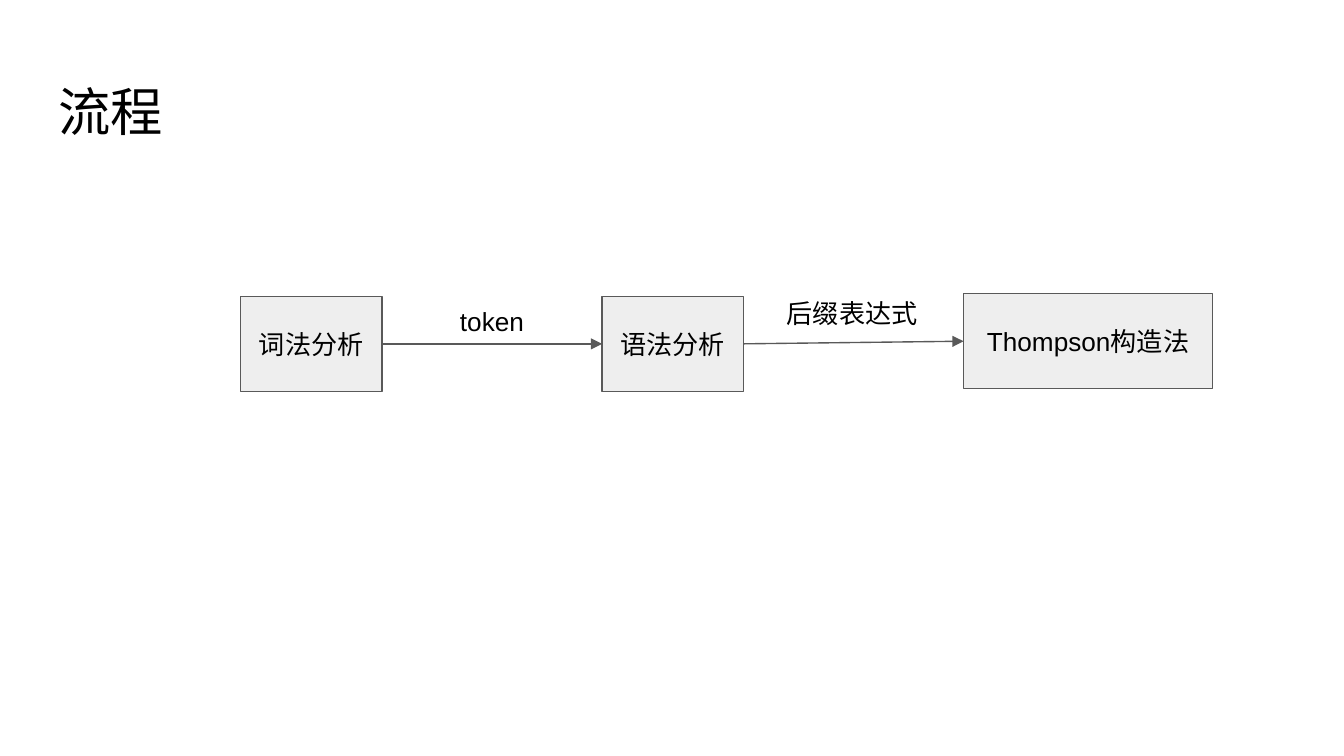
from dataclasses import dataclass

from pptx import Presentation
from pptx.dml.color import RGBColor
from pptx.enum.shapes import MSO_CONNECTOR, MSO_SHAPE
from pptx.enum.text import MSO_ANCHOR as Anchor, MSO_AUTO_SIZE as AutoSize, PP_ALIGN as Align
from pptx.oxml.ns import qn
from pptx.util import Cm, Pt
from lxml.etree import SubElement


@dataclass(frozen=True)
class Theme:
    """Colours, font and sizes of the slide."""
    font: str = "Arial"
    title: int = 28
    body: int = 14
    text: RGBColor = RGBColor(0x00, 0x00, 0x00)
    fill: RGBColor = RGBColor(0xEE, 0xEE, 0xEE)
    line: RGBColor = RGBColor(0x59, 0x59, 0x59)
    width: float = 0.75
    inset: float = 0.25


THEME = Theme()


def write(sp, text, size, align, anchor):
    """Fill a shape's text frame with one formatted run."""
    tf = sp.text_frame
    tf.word_wrap = True
    tf.auto_size = AutoSize.NONE
    tf.vertical_anchor = anchor
    tf.margin_left = tf.margin_right = Cm(THEME.inset)
    tf.margin_top = tf.margin_bottom = Cm(THEME.inset)
    p = tf.paragraphs[0]
    p.alignment = align
    r = p.add_run()
    r.text = text
    r.font.name = THEME.font
    r.font.size = Pt(size)
    r.font.bold = False
    r.font.color.rgb = THEME.text


def add_title(s, text, x, y, w, h):
    """Place the title placeholder in the given box."""
    sp = s.shapes.title
    sp.left, sp.top, sp.width, sp.height = Cm(x), Cm(y), Cm(w), Cm(h)
    write(sp, text, THEME.title, Align.LEFT, Anchor.TOP)


def add_step(s, text, x, y, w, h):
    """Draw one step of the flow."""
    sp = s.shapes.add_shape(MSO_SHAPE.RECTANGLE, Cm(x), Cm(y), Cm(w), Cm(h))
    sp.shadow.inherit = False
    sp.fill.solid()
    sp.fill.fore_color.rgb = THEME.fill
    sp.line.color.rgb = THEME.line
    sp.line.width = Pt(THEME.width)
    write(sp, text, THEME.body, Align.CENTER, Anchor.MIDDLE)
    return sp


def add_arrow(s, start, end):
    """Join the right side of one step to the left side of the next."""
    cx = s.shapes.add_connector(MSO_CONNECTOR.STRAIGHT, 0, 0, 0, 0)
    cx.begin_connect(start, 3)
    cx.end_connect(end, 1)
    cx.line.color.rgb = THEME.line
    cx.line.width = Pt(THEME.width)
    SubElement(cx.line._get_or_add_ln(), qn("a:tailEnd"), type="triangle")
    SubElement(cx._element.spPr, qn("a:effectLst"))


def add_label(s, text, align, x, y, w, h):
    """Write the label of an arrow."""
    sp = s.shapes.add_textbox(Cm(x), Cm(y), Cm(w), Cm(h))
    write(sp, text, THEME.body, align, Anchor.TOP)


def add_flow(s, steps, labels, x, y, h, gap):
    """Lay out steps from left to right, with labelled arrows in the gaps."""
    shapes = []
    for text, w, dy in steps:
        shapes.append(add_step(s, text, x, y + dy, w, h))
        x += w + gap
    for start, end, (text, align, w, dy) in zip(shapes, shapes[1:], labels):
        add_arrow(s, start, end)
        middle = (start.left + start.width + end.left) / 2
        add_label(s, text, align, Cm(1) and middle / Cm(1) - w / 2, y + dy, w, 0.89)


def main():
    """Build and save the slide."""
    prs = Presentation()
    prs.slide_width, prs.slide_height = Cm(25.4), Cm(14.29)
    s = prs.slides.add_slide(prs.slide_layouts[5])
    add_title(s, "流程", 0.86, 1.24, 23.67, 1.6)
    steps = [("词法分析", 2.67, 0), ("语法分析", 2.67, 0), ("Thompson构造法", 4.71, -0.05)]
    labels = [("token", Align.CENTER, 2.13, -0.08), ("后缀表达式", Align.LEFT, 3.02, -0.23)]
    add_flow(s, steps, labels, x=4.55, y=5.6, h=1.8, gap=4.16)
    prs.save("out.pptx")


if __name__ == "__main__":
    main()
